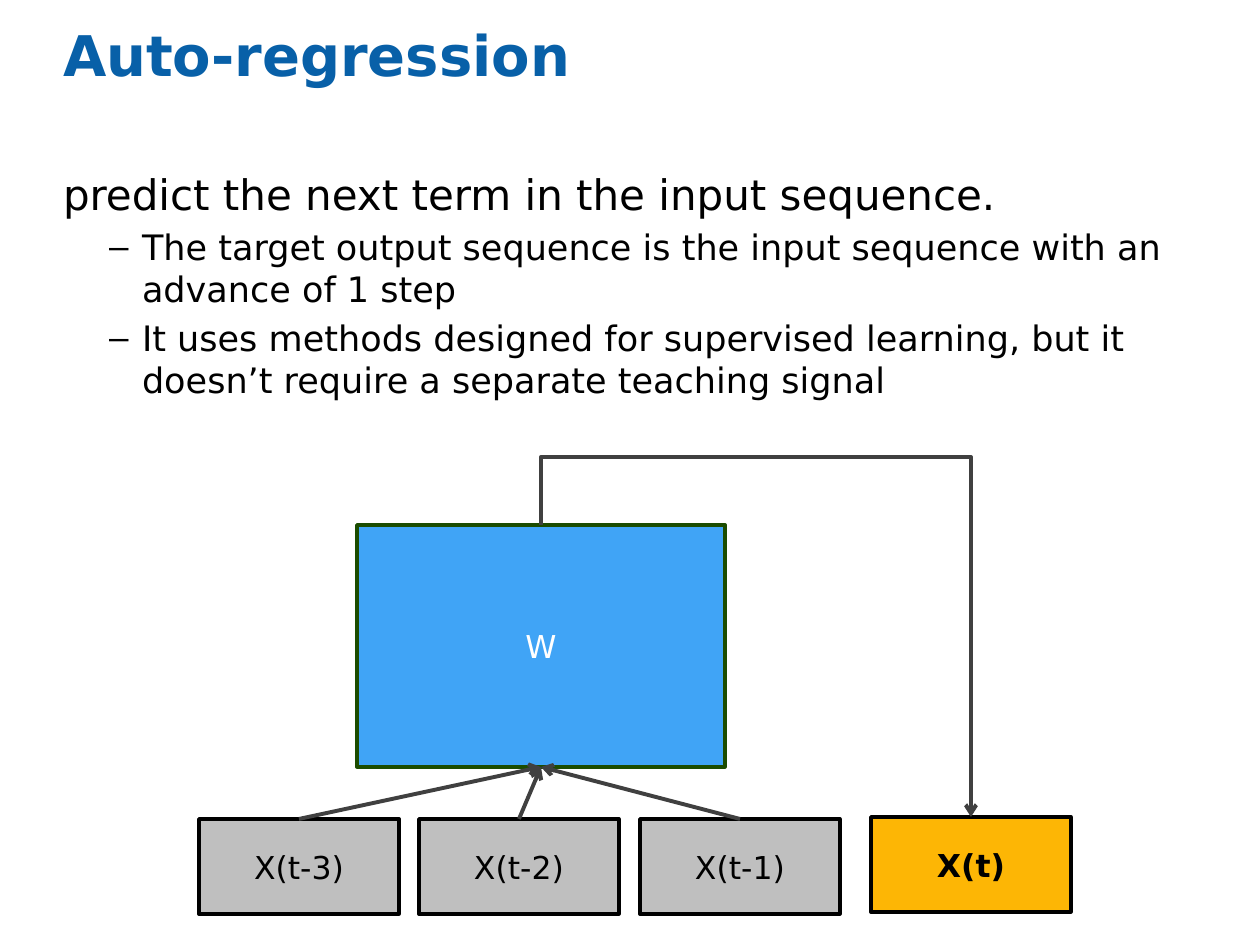
import pptx
import pptx.util
import pptx.dml.color
import pptx.enum.shapes
import pptx.enum.text
import pptx.oxml
import pptx.oxml.ns
from lxml import etree

PX = 914400 // 126
FONT = "DejaVu Sans"
COLORS = {
    "title": "0860A8", "text": "000000", "light_text": "FFFFFF",
    "input": "BFBFBF", "target": "FDB605", "weights": "40A4F6",
    "border": "000000", "weights_border": "1B4C00", "arrow": "404040",
}
POINTS = [
    "The target output sequence is the input sequence with an advance of 1 step",
    "It uses methods designed for supervised learning, but it doesn’t require "
    "a separate teaching signal",
]
INPUTS = ["X(t-3)", "X(t-2)", "X(t-1)"]


def px(*lengths):
    return [round(length * PX) for length in lengths]


def rgb(name):
    return pptx.dml.color.RGBColor.from_string(COLORS[name])


def add_xml(parent, tag, **attributes):
    return etree.SubElement(parent, pptx.oxml.ns.qn(tag), attributes)


def style(paragraph, size, color="text", bold=False):
    font = paragraph.font
    font.name, font.size, font.bold = FONT, pptx.util.Pt(size), bold
    font.color.rgb = rgb(color)


def fit_placeholder(placeholder, box):
    """Move a placeholder to the box and let its text start at the top left corner."""
    placeholder.left, placeholder.top, placeholder.width, placeholder.height = px(*box)
    frame = placeholder.text_frame
    frame.margin_left = frame.margin_top = frame.margin_right = frame.margin_bottom = 0
    frame.vertical_anchor = pptx.enum.text.MSO_ANCHOR.TOP
    frame.auto_size = pptx.enum.text.MSO_AUTO_SIZE.NONE
    frame.word_wrap = True
    return frame


def write_title(slide, box):
    frame = fit_placeholder(slide.shapes.title, box)
    frame.text = "Auto-regression"
    heading = frame.paragraphs[0]
    heading.alignment = pptx.enum.text.PP_ALIGN.LEFT
    style(heading, 32, "title", bold=True)


def set_bullet(paragraph, margin, indent, char=None):
    properties = paragraph._p.get_or_add_pPr()
    properties.set("marL", str(margin * PX))
    properties.set("indent", str(indent * PX))
    if char:
        add_xml(properties, "a:buChar", char=char)
    else:
        add_xml(properties, "a:buNone")


def write_body(slide, box):
    frame = fit_placeholder(slide.placeholders[1], box)
    frame.text = "predict the next term in the input sequence."
    lead = frame.paragraphs[0]
    set_bullet(lead, 0, 0)
    style(lead, 24)
    for text in POINTS:
        point = frame.add_paragraph()
        point.text, point.level = text, 1
        set_bullet(point, 79, -33, "–")
        style(point, 20)


def add_node(slide, box, label, fill, border="border", color="text", bold=False):
    node = slide.shapes.add_shape(pptx.enum.shapes.MSO_SHAPE.RECTANGLE, *px(*box))
    node.shadow.inherit = False
    node.fill.solid()
    node.fill.fore_color.rgb = rgb(fill)
    node.line.color.rgb = rgb(border)
    node.line.width = pptx.util.Pt(2)
    node.text_frame.text = label
    node.text_frame.vertical_anchor = pptx.enum.text.MSO_ANCHOR.MIDDLE
    caption = node.text_frame.paragraphs[0]
    caption.alignment = pptx.enum.text.PP_ALIGN.CENTER
    style(caption, 18, color, bold)


def add_arrow(slide, kind, start, end):
    arrow = slide.shapes.add_connector(kind, *px(*start, *end))
    arrow.line.color.rgb = rgb("arrow")
    arrow.line.width = pptx.util.Pt(2.25)
    add_xml(arrow.line._get_or_add_ln(), "a:tailEnd", type="arrow")
    add_xml(arrow._element.spPr, "a:effectLst")
    return arrow


def add_arch_arrow(slide, start, end, rise):
    """Arrow that goes up from start by rise, across, and down to end."""
    across, down = end[0] - start[0], end[1] - start[1]
    middle_x, middle_y = (start[0] + end[0]) / 2, (start[1] + end[1]) / 2
    # The elbow runs sideways by default, so its box is laid out turned by 270 degrees.
    arrow = add_arrow(slide, pptx.enum.shapes.MSO_CONNECTOR.ELBOW,
                      (middle_x + down / 2, middle_y - across / 2),
                      (middle_x - down / 2, middle_y + across / 2))
    properties = arrow._element.spPr
    properties.find(pptx.oxml.ns.qn("a:xfrm")).set("rot", str(270 * 60000))
    adjustments = properties.find(".//" + pptx.oxml.ns.qn("a:avLst"))
    add_xml(adjustments, "a:gd", name="adj1", fmla=f"val {round(-rise / down * 100000)}")


def draw_network(slide, box):
    left, top, width, height = box
    node_width, node_height = 200, 95
    input_top = top + height - node_height
    target_left, target_top = left + width - node_width, input_top - 2
    weights_left, weights_top, weights_width, weights_height = left + 158, top + 68, 368, 242
    weights_x = weights_left + weights_width // 2
    weights_bottom = weights_top + weights_height
    input_lefts = [left + 441 * i // 2 for i in range(len(INPUTS))]

    for input_left, label in zip(input_lefts, INPUTS):
        add_node(slide, (input_left, input_top, node_width, node_height), label, "input")
    add_node(slide, (target_left, target_top, node_width, node_height),
             "X(t)", "target", bold=True)
    add_node(slide, (weights_left, weights_top, weights_width, weights_height),
             "W", "weights", "weights_border", "light_text")
    for input_left in input_lefts:
        add_arrow(slide, pptx.enum.shapes.MSO_CONNECTOR.STRAIGHT,
                  (input_left + node_width // 2, input_top), (weights_x, weights_bottom))
    add_arch_arrow(slide, (weights_x, weights_top),
                   (target_left + node_width // 2, target_top), weights_top - top)


def main():
    deck = pptx.Presentation()
    deck.slide_width, deck.slide_height = px(1260, 945)
    slide = deck.slides.add_slide(deck.slide_layouts[1])
    write_title(slide, (63, 21, 1135, 122))
    write_body(slide, (63, 168, 1135, 252))
    draw_network(slide, (199, 457, 872, 457))
    deck.save("out.pptx")


if __name__ == "__main__":
    main()
